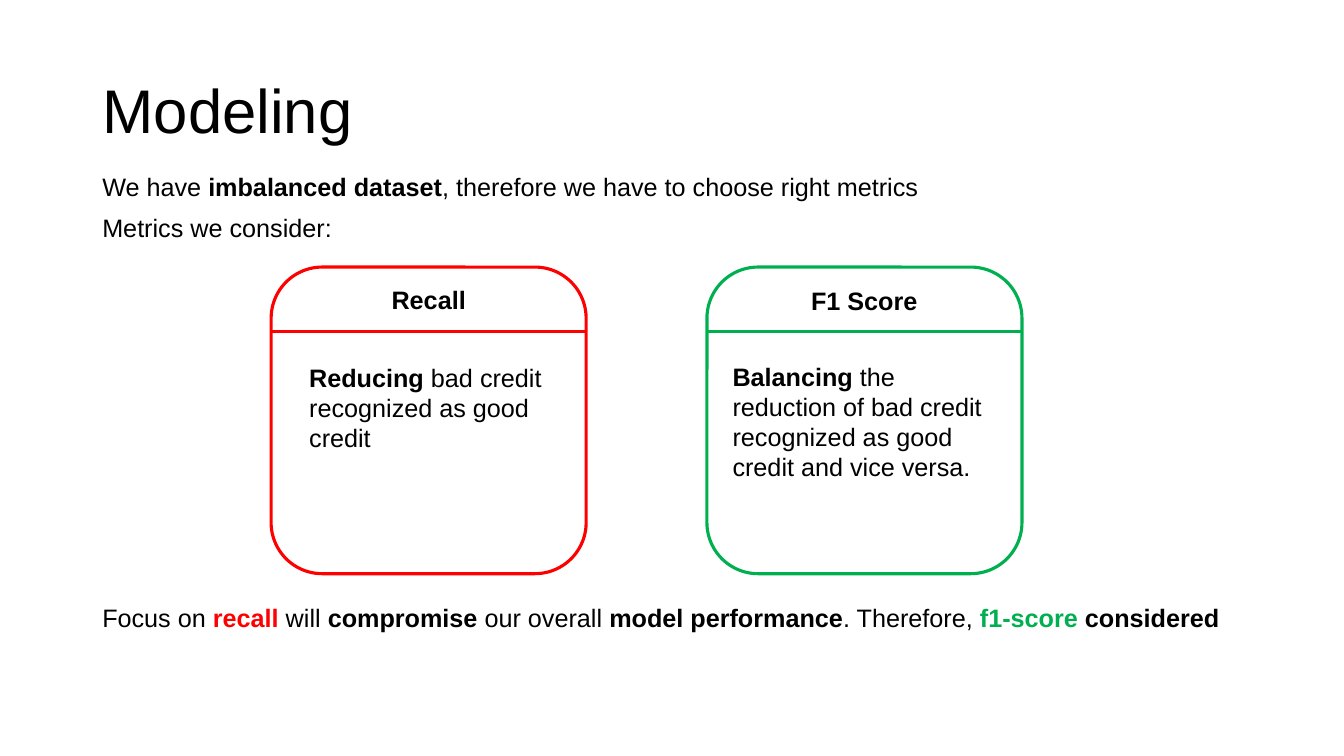
"""Build the Modeling slide, which weighs recall against F1 score."""
from lxml import etree
from pptx import Presentation
from pptx.dml.color import RGBColor
from pptx.enum.shapes import MSO_CONNECTOR, MSO_SHAPE
from pptx.enum.text import MSO_ANCHOR, MSO_AUTO_SIZE, PP_ALIGN
from pptx.oxml.ns import qn
from pptx.util import Pt

BLACK = RGBColor(0x00, 0x00, 0x00)
RED = RGBColor(0xFF, 0x00, 0x00)
GREEN = RGBColor(0x00, 0xB0, 0x50)
FONT = "Arial"
STRAIGHT = MSO_CONNECTOR.STRAIGHT
ROUNDED = MSO_SHAPE.ROUNDED_RECTANGLE
MIDDLE = MSO_ANCHOR.MIDDLE
NO_FIT = MSO_AUTO_SIZE.NONE
GROW = MSO_AUTO_SIZE.SHAPE_TO_FIT_TEXT
LEFT, CENTER = PP_ALIGN.LEFT, PP_ALIGN.CENTER

MARGIN, FULL_WIDTH, LINE_HEIGHT = 66, 828, 29
CARD_TOP, CARD_WIDTH, CARD_HEIGHT = 190.8, 225, 219
DIVIDER_TOP = 236.9


def add_runs(para, runs, size=18):
    for text, bold, color in runs:
        span = para.add_run()
        span.text = text
        span.font.name = FONT
        span.font.size = Pt(size)
        span.font.bold = bold
        span.font.color.rgb = color


def add_text(page, left, top, width, height, runs, wrap=True, align=LEFT):
    box = page.shapes.add_textbox(Pt(left), Pt(top), Pt(width), Pt(height))
    frame = box.text_frame
    frame.word_wrap = wrap
    frame.auto_size = GROW
    frame.paragraphs[0].alignment = align
    add_runs(frame.paragraphs[0], runs)


deck = Presentation()
deck.slide_width, deck.slide_height = Pt(960), Pt(540)
page = deck.slides.add_slide(deck.slide_layouts[5])

title = page.shapes.title
title.left, title.top = Pt(MARGIN), Pt(28.75)
title.width, title.height = Pt(FULL_WIDTH), Pt(104.4)
title.text_frame.vertical_anchor = MIDDLE
title.text_frame.auto_size = NO_FIT
title_para = title.text_frame.paragraphs[0]
title_para.alignment = LEFT
title_para.line_spacing = 0.9
add_runs(title_para, [("Modeling", False, BLACK)], 44)

statements = [
    (118.8, FULL_WIDTH, [
        ("We have ", False, BLACK),
        ("imbalanced dataset", True, BLACK),
        (", therefore we have to choose right metrics", False, BLACK),
    ]),
    (147.9, 480, [("Metrics we consider:", False, BLACK)]),
    (427, FULL_WIDTH, [
        ("Focus on ", False, BLACK),
        ("recall", True, RED),
        (" will ", False, BLACK),
        ("compromise", True, BLACK),
        (" our overall ", False, BLACK),
        ("model performance", True, BLACK),
        (". Therefore, ", False, BLACK),
        ("f1-score", True, GREEN),
        (" considered", True, BLACK),
    ]),
]
for top, width, runs in statements:
    add_text(page, MARGIN, top, width, LINE_HEIGHT, runs)

cards = [
    (193.7, RED, "Recall", (272, 199.4, 68.4), (213.8, 254.9, 187.2, 72.7),
     "Reducing", " bad credit recognized as good credit"),
    (505, GREEN, "F1 Score", (571.7, 200.2, 91.4), (516.2, 254.2, 201.6, 94.5),
     "Balancing ",
     "the reduction of bad credit recognized as good credit and vice versa."),
]
for left, color, heading, heading_place, body_place, lead, rest in cards:
    group = page.shapes.add_group_shape()
    card = group.shapes.add_shape(
        ROUNDED, Pt(left), Pt(CARD_TOP), Pt(CARD_WIDTH), Pt(CARD_HEIGHT))
    card.shadow.inherit = False
    card.fill.background()
    divider = group.shapes.add_connector(
        STRAIGHT, Pt(left), Pt(DIVIDER_TOP),
        Pt(left + CARD_WIDTH), Pt(DIVIDER_TOP))
    etree.SubElement(divider._element.spPr, qn("a:effectLst"))
    for outline in (card.line, divider.line):
        outline.color.rgb = color
        outline.width = Pt(2.25)
    add_text(page, *heading_place, LINE_HEIGHT, [(heading, True, BLACK)],
             wrap=False, align=CENTER)
    add_text(page, *body_place, [(lead, True, BLACK), (rest, False, BLACK)])

deck.save("out.pptx")
